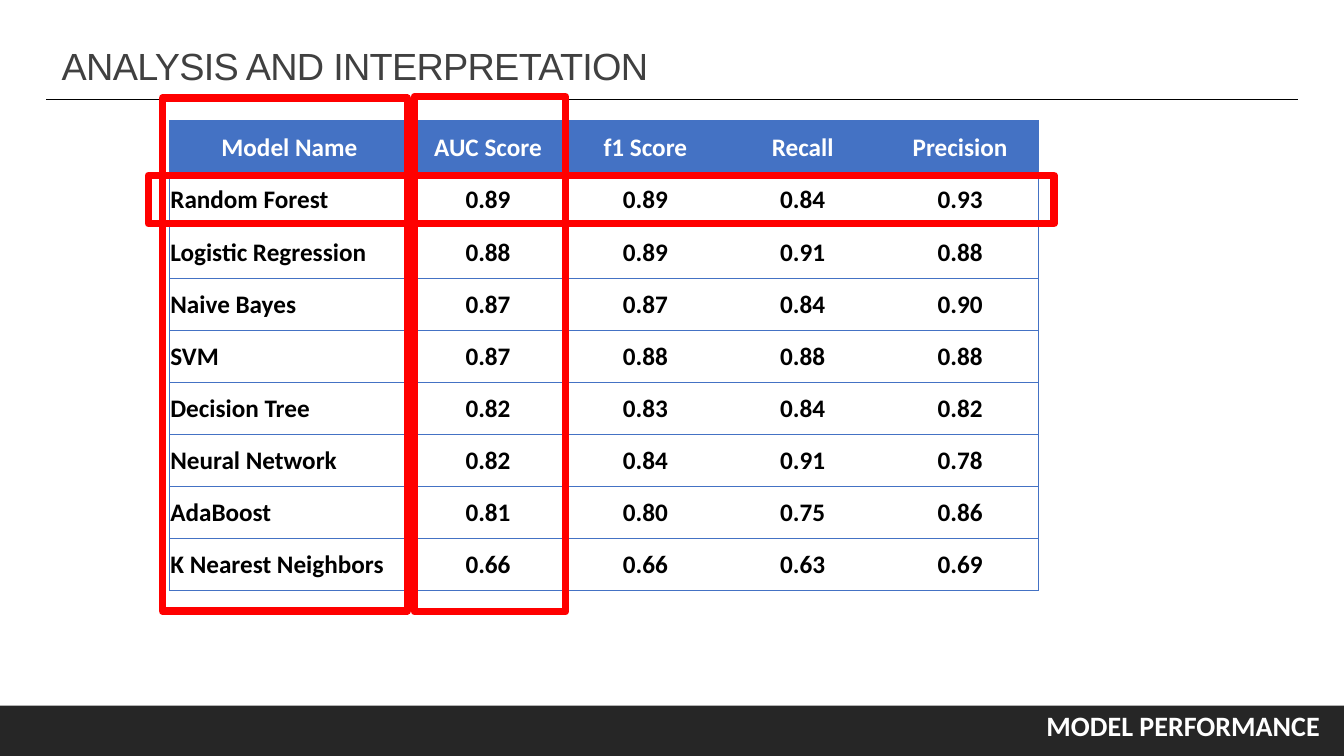
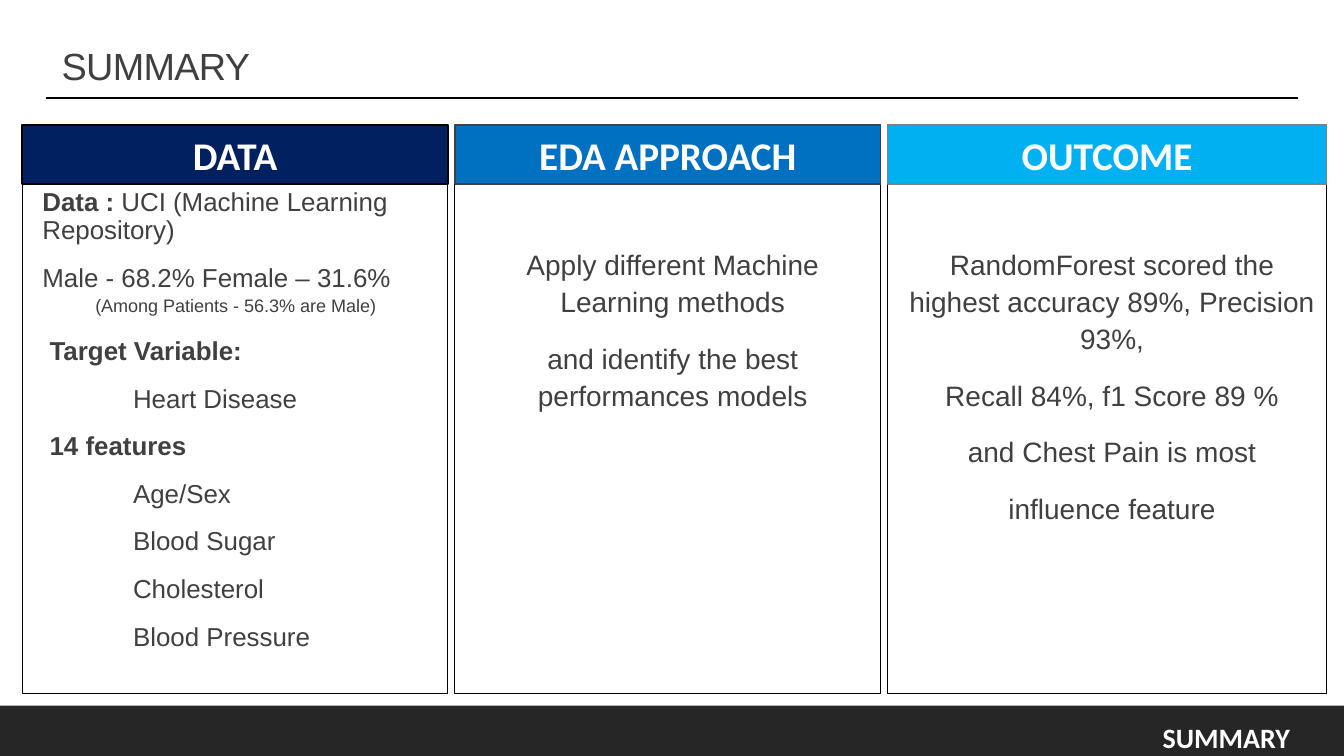
from lxml import etree
from pptx import Presentation
from pptx.dml.color import RGBColor
from pptx.enum import shapes, text
from pptx.oxml import ns
from pptx.util import Pt

# Shared look
SLIDE_W, SLIDE_H = 960, 540
INK, WHITE, BLACK, BAND = "404040", "FFFFFF", "000000", "262626"
BLUE, RED = "4472C4", "FF0000"
CENTER, LEFT = text.PP_ALIGN.CENTER, text.PP_ALIGN.LEFT
TOP, MIDDLE, BOTTOM = (text.MSO_ANCHOR.TOP, text.MSO_ANCHOR.MIDDLE,
                       text.MSO_ANCHOR.BOTTOM)
TITLE = dict(name="Arial", size=27, color=INK)
FOOTER = dict(name="Calibri", size=20, color=WHITE, bold=True)
HEADING = dict(name="Calibri", size=28, color=WHITE, bold=True)
CELL = dict(name="Calibri", size=18, bold=True)
DATA = dict(name="Arial", size=18.5, color=INK)
BODY = dict(name="Arial", size=20, color=INK)
SPACED = dict(space_before=Pt(12), space_after=Pt(2))


def rgb(value):
    return RGBColor.from_string(value)


def set_all(target, values):
    for key, value in values.items():
        setattr(target, key, value)


def add_run(p, words, style, **changes):
    r = p.add_run()
    r.text = words
    values = {**style, **changes}
    r.font.color.rgb = rgb(values.pop("color"))
    values["size"] = Pt(values["size"])
    set_all(r.font, values)
    return r


def next_paragraph(tf):
    first = tf.paragraphs[0]
    return tf.add_paragraph() if first.runs else first


def set_frame(tf, anchor=TOP, insets=(7.2, 3.6, 7.2, 3.6)):
    left, top, right, bottom = map(Pt, insets)
    set_all(tf, dict(word_wrap=True, vertical_anchor=anchor, margin_left=left,
                     margin_top=top, margin_right=right, margin_bottom=bottom))
    return tf


def add_box(s, box, fill=None, line=None, width=0.75):
    sp = s.shapes.add_shape(shapes.MSO_SHAPE.RECTANGLE, *map(Pt, box))
    sp.shadow.inherit = False
    for part, color in ((sp.fill, fill), (sp.line.fill, line)):
        if color:
            part.solid()
            part.fore_color.rgb = rgb(color)
        else:
            part.background()
    if line:
        sp.line.width = Pt(width)
    return sp


def add_label(s, box, words, style, spacing, **frame):
    tf = set_frame(s.shapes.add_textbox(*map(Pt, box)).text_frame, **frame)
    set_all(tf.paragraphs[0], spacing)
    return add_run(tf.paragraphs[0], words, style)


# Title, rule and footer band of every slide
def add_base(prs, title, rule_y, footer, footer_at):
    s = prs.slides.add_slide(prs.slide_layouts[6])
    add_box(s, (0, 504, SLIDE_W, 36), BAND)
    r = add_label(s, (37, 28, 900, 39), title, TITLE,
                  dict(line_spacing=0.9), anchor=BOTTOM)
    r.font._element.set("spc", "-50")
    rule = s.shapes.add_connector(shapes.MSO_CONNECTOR.STRAIGHT, Pt(33),
                                  Pt(rule_y), Pt(927.5), Pt(rule_y))
    rule.line.color.rgb = rgb(BLACK)
    rule.line.width = Pt(1)
    etree.SubElement(rule._element.spPr, ns.qn("a:effectLst"))
    x, y = footer_at
    add_label(s, (x, y, SLIDE_W - x, SLIDE_H - y), footer, FOOTER,
              dict(line_spacing=1.1, **SPACED), insets=(0, 3.6, 0, 3.6))
    return s


# Score table
def set_borders(cell, sides):
    tc_pr = cell._tc.get_or_add_tcPr()
    for i, side in enumerate("LRTB"):
        ln = etree.Element(ns.qn("a:ln" + side), w=str(Pt(0.5)))
        if side in sides:
            fill = etree.SubElement(ln, ns.qn("a:solidFill"))
            etree.SubElement(fill, ns.qn("a:srgbClr"), val=BLUE)
        else:
            etree.SubElement(ln, ns.qn("a:noFill"))
        tc_pr.insert(i, ln)


def add_scores(s, box, rows, name_w, header_h):
    x, y, w, h = box
    n_rows, n_cols = len(rows), len(rows[0])
    table = s.shapes.add_table(n_rows, n_cols, *map(Pt, box)).table
    set_all(table, dict(first_row=False, horz_banding=False))
    for j, col in enumerate(table.columns):
        col.width = Pt((w - name_w) / (n_cols - 1) if j else name_w)
    for i, row in enumerate(rows):
        table.rows[i].height = Pt((h - header_h) / (n_rows - 1)
                                  if i else header_h)
        for j, words in enumerate(row):
            cell = table.cell(i, j)
            set_all(cell, dict(vertical_anchor=MIDDLE, margin_left=Pt(0.7),
                               margin_right=Pt(0.7), margin_top=Pt(0.7),
                               margin_bottom=0))
            if i == 0:
                cell.fill.solid()
                cell.fill.fore_color.rgb = rgb(BLUE)
            else:
                cell.fill.background()
            p = cell.text_frame.paragraphs[0]
            p.alignment = LEFT if i and j == 0 else CENTER
            add_run(p, words, CELL, color=BLACK if i else WHITE)
            set_borders(cell, "TB" + "L" * (j == 0) + "R" * (j == n_cols - 1))


def performance_slide(prs):
    s = add_base(prs, "ANALYSIS AND INTERPRETATION", 71.2,
                 "MODEL PERFORMANCE", (747.5, 500.4))
    rows = [
        ("Model Name", "AUC Score", "f1 Score", "Recall", "Precision"),
        ("Random Forest", "0.89", "0.89", "0.84", "0.93"),
        ("Logistic Regression", "0.88", "0.89", "0.91", "0.88"),
        ("Naive Bayes", "0.87", "0.87", "0.84", "0.90"),
        ("SVM", "0.87", "0.88", "0.88", "0.88"),
        ("Decision Tree", "0.82", "0.83", "0.84", "0.82"),
        ("Neural Network", "0.82", "0.84", "0.91", "0.78"),
        ("AdaBoost", "0.81", "0.80", "0.75", "0.86"),
        ("K Nearest Neighbors", "0.66", "0.66", "0.63", "0.69"),
    ]
    add_scores(s, (121, 86, 621, 335.5), rows, 171.4, 38.2)
    # Highlights: names, AUC column, best model
    for box in ((116, 70, 175, 366.5), (296, 69, 108, 368),
                (106, 125.3, 647, 34.5)):
        add_box(s, box, line=RED, width=5.25)


# Headed panel; returns its body text frame
def add_panel(s, box, heading, fill, line, top_inset=3.6):
    x, y, w, h = box
    head_h = 42.3
    body = add_box(s, (x, y + head_h, w, h - head_h), line=BLACK)
    head = add_box(s, (x, y, w, head_h), fill, line, 1.25)
    p = set_frame(head.text_frame, MIDDLE).paragraphs[0]
    p.alignment = CENTER
    add_run(p, heading, HEADING)
    return set_frame(body.text_frame, TOP, (7.2, top_inset, 7.2, 3.6))


def add_line(tf, runs, style, indent, **spacing):
    p = next_paragraph(tf)
    set_all(p, {**SPACED, **spacing})
    p._p.get_or_add_pPr().set("marL", str(Pt(indent)))
    for words, bold in runs:
        add_run(p, words, style, bold=bold)


def fill_data(tf):
    def line(*runs, indent=7.2):
        add_line(tf, runs, DATA, indent, alignment=LEFT, line_spacing=0.9)

    line(("Data : ", True), ("UCI (Machine Learning Repository)", False))
    line(("Male - 68.2% Female – 31.6%", False))
    add_line(tf, [("(Among Patients - 56.3% are Male)", False)],
             {**DATA, "size": 12.9}, 45, alignment=LEFT, line_spacing=0.8,
             space_before=Pt(2), space_after=Pt(4))
    for group, items in (
            ("Target Variable:", ["Heart Disease"]),
            ("14 features", ["Age/Sex", "Blood Sugar", "Cholesterol",
                             "Blood Pressure"])):
        line((group, True), indent=12.4)
        for item in items:
            line((item, False), indent=72)


def summary_slide(prs):
    s = add_base(prs, "SUMMARY", 70, "SUMMARY", (830.5, 509))
    x, y, h, gap = 16, 89.2, 406, 5
    panels = [
        ("DATA", "002060", BLACK, 304, None),
        ("EDA APPROACH", "0070C0", INK, 304,
         ["Apply different Machine Learning methods",
          "and identify the best performances models"]),
        ("OUTCOME", "00B0F0", "808080", 313.5,
         ["RandomForest scored the highest accuracy 89%, Precision 93%,",
          "Recall 84%, f1 Score 89 %", "and Chest Pain is most",
          "influence feature"]),
    ]
    for heading, fill, line, w, words in panels:
        tf = add_panel(s, (x, y, w, h), heading, fill, line,
                       43 if words else 3.6)
        if words:
            for item in words:
                add_line(tf, [(item, False)], BODY, 7.2,
                         alignment=CENTER, line_spacing=1.1)
        else:
            fill_data(tf)
        x += w + gap


def main():
    prs = Presentation()
    set_all(prs, dict(slide_width=Pt(SLIDE_W), slide_height=Pt(SLIDE_H)))
    performance_slide(prs)
    summary_slide(prs)
    prs.save("out.pptx")


if __name__ == "__main__":
    main()
